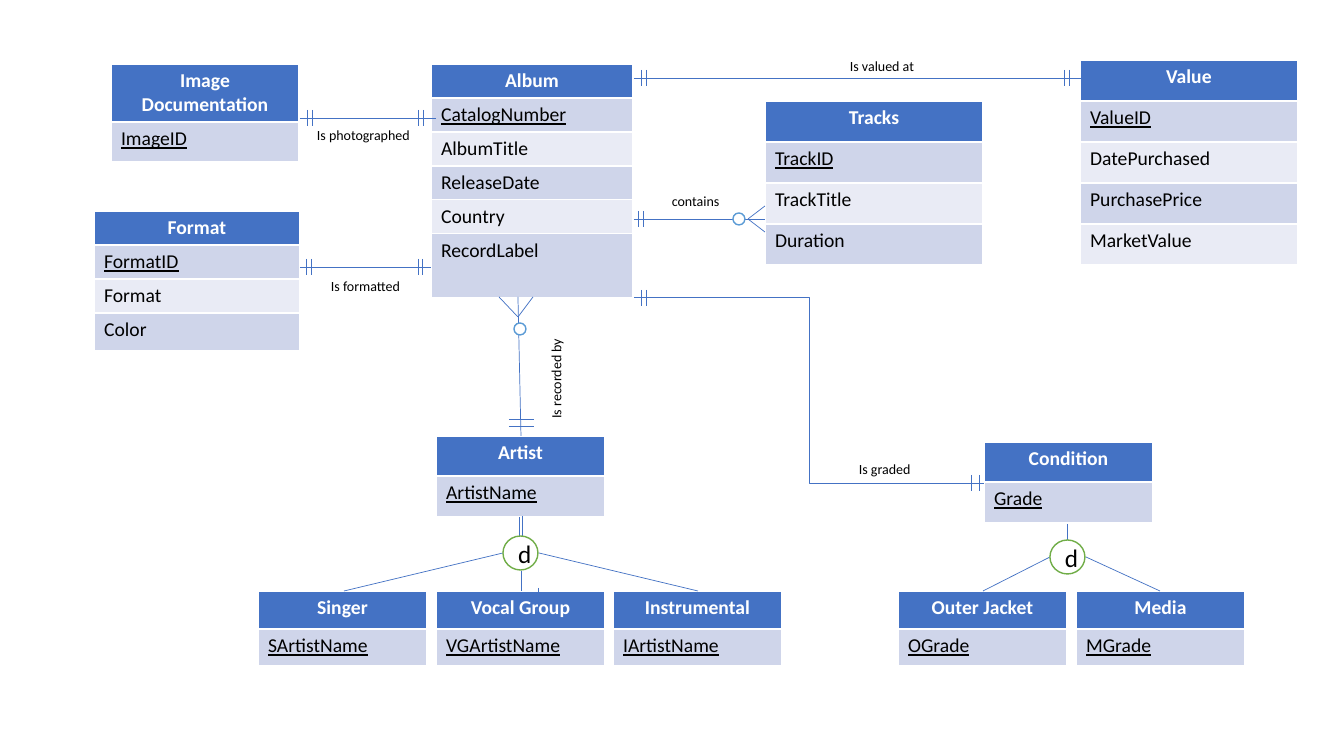
from pptx import Presentation
from pptx.util import Emu, Pt
from pptx.dml.color import RGBColor
from pptx.enum.shapes import MSO_CONNECTOR, MSO_SHAPE
from pptx.enum.text import MSO_ANCHOR, MSO_AUTO_SIZE, PP_ALIGN
from lxml.etree import SubElement

EMU_PER_PIXEL = 914400 / 100.8
NAMESPACE = "{http://schemas.openxmlformats.org/drawingml/2006/main}"
BLUE, LIGHT_BLUE, GREEN = "4472C4", "5B9BD5", "70AD47"
BANDS = ["CFD5EA", "E9EBF5"]
WHITE, BLACK = "FFFFFF", "000000"

ENTITIES = [
    ("Album", ["CatalogNumber", "AlbumTitle", "ReleaseDate", "Country", "RecordLabel"],
     431, 64, 202, [34] * 5 + [64]),
    ("Artist", ["ArtistName"], 436, 436, 169, [40, 41]),
    ("Tracks", ["TrackID", "TrackTitle", "Duration"], 765, 101, 218, [41] * 4),
    ("Condition", ["Grade"], 984, 442, 169, [40, 41]),
    ("Format", ["FormatID", "Format", "Color"], 94, 211, 206, [34, 34, 34, 38]),
    ("Image Documentation", ["ImageID"], 111, 64, 188, [58, 40]),
    ("Value", ["ValueID", "DatePurchased", "PurchasePrice", "MarketValue"],
     1080, 60, 218, [41] * 5),
]
SUBTYPES = [
    ("Singer", "SArtistName", 258),
    ("Vocal Group", "VGArtistName", 436),
    ("Instrumental", "IArtistName", 613),
    ("Outer Jacket", "OGrade", 898),
    ("Media", "MGrade", 1076),
]
SUBTYPE_LINES = [
    (519, 517, 519, 536), (522, 516, 522, 536), (521, 571, 521, 591),
    (539, 553, 698, 591), (503, 553, 344, 591), (538, 588, 538, 607),
    (1050, 557, 983, 591), (1086, 557, 1160, 591), (1067, 524, 1067, 540),
]
RELATION_LINES = [
    (634, 219, 765, 219), (634, 78, 1086, 78), (300, 267, 431, 267),
    (300, 118, 436, 118), (518, 297, 521, 436),
]
CROW_FEET = [
    (765, 206, 748, 219), (748, 219, 765, 232),
    (518, 317, 533, 297), (518, 317, 499, 297),
]
ONE_MARKS = [
    (641, 646, 298), (641, 646, 78), (1064, 1069, 78), (418, 423, 118), (307, 312, 118),
    (418, 422, 267), (306, 311, 267), (971, 979, 483), (638, 643, 219),
]
LABELS = [
    ("Is graded", 849, 456, 74, 0),
    ("Is formatted", 321, 273, 94, 0),
    ("Is photographed", 307, 122, 121, 0),
    ("Is valued at", 840, 53, 95, 0),
    ("contains", 662, 188, 95, 0),
    ("Is recorded by", 497, 356, 118, 270),
]


def px(*values):
    return [Emu(round(value * EMU_PER_PIXEL)) for value in values]


def color(value):
    return RGBColor.from_string(value)


def set_font(paragraph, size, font_color, bold=False, underline=False):
    font = paragraph.font
    font.name, font.size = "Calibri", Pt(size)
    font.color.rgb = color(font_color)
    font.bold, font.underline = bold, underline


def add_entity(slide, title, attributes, left, top, width, heights):
    frame = slide.shapes.add_table(len(heights), 1, *px(left, top, width, sum(heights)))
    table = frame.table
    for index, (text, height) in enumerate(zip([title, *attributes], heights)):
        table.rows[index].height = px(height)[0]
        cell = table.cell(index, 0)
        cell.text = text
        cell.fill.solid()
        cell.fill.fore_color.rgb = color(BANDS[(index - 1) % 2] if index else BLUE)
        paragraph = cell.text_frame.paragraphs[0]
        if index:
            set_font(paragraph, 14, BLACK, underline=index == 1)
        else:
            paragraph.alignment = PP_ALIGN.CENTER
            set_font(paragraph, 14, WHITE, bold=True)


def add_line(slide, ends, kind=MSO_CONNECTOR.STRAIGHT):
    connector = slide.shapes.add_connector(kind, *px(*ends))
    connector.line.color.rgb = color(BLUE)
    connector.line.width = Pt(0.5)
    SubElement(connector._element.spPr, NAMESPACE + "effectLst")


def add_one_mark(slide, first, second, middle):
    for x in (first, second):
        add_line(slide, (x, middle - 8, x, middle + 8))


def add_circle(slide, left, top, width, height, line_color, text=""):
    shape = slide.shapes.add_shape(MSO_SHAPE.FLOWCHART_CONNECTOR,
                                   *px(left, top, width, height))
    shape.shadow.inherit = False
    shape.fill.solid()
    shape.fill.fore_color.rgb = color(WHITE)
    shape.line.color.rgb = color(line_color)
    shape.line.width = Pt(1)
    if text:
        shape.text_frame.text = text
        shape.text_frame.vertical_anchor = MSO_ANCHOR.MIDDLE
        paragraph = shape.text_frame.paragraphs[0]
        paragraph.alignment = PP_ALIGN.CENTER
        set_font(paragraph, 18, BLACK)


def add_label(slide, text, left, top, width, rotation):
    box = slide.shapes.add_textbox(*px(left, top, width, 27))
    box.rotation = rotation
    box.text_frame.word_wrap = True
    box.text_frame.auto_size = MSO_AUTO_SIZE.SHAPE_TO_FIT_TEXT
    box.text_frame.text = text
    set_font(box.text_frame.paragraphs[0], 10, BLACK)


def main():
    presentation = Presentation()
    presentation.slide_width, presentation.slide_height = px(1344, 756)
    slide = presentation.slides.add_slide(presentation.slide_layouts[6])
    for entity in ENTITIES:
        add_entity(slide, *entity)
    for title, key, left in SUBTYPES:
        add_entity(slide, title, [key], left, 591, 169, [38, 37])
    for ends in SUBTYPE_LINES + RELATION_LINES + CROW_FEET:
        add_line(slide, ends)
    add_line(slide, (634, 297, 984, 483), MSO_CONNECTOR.ELBOW)
    for y in (419, 426):
        add_line(slide, (509, y, 534, y))
    for mark in ONE_MARKS:
        add_one_mark(slide, *mark)
    for left, top in ((503, 536), (1050, 540)):
        add_circle(slide, left, top, 35, 34, GREEN, "d")
    for left, top in ((514, 323), (733, 213)):
        add_circle(slide, left, top, 12, 12, LIGHT_BLUE)
    for label in LABELS:
        add_label(slide, *label)
    presentation.save("out.pptx")


main()
